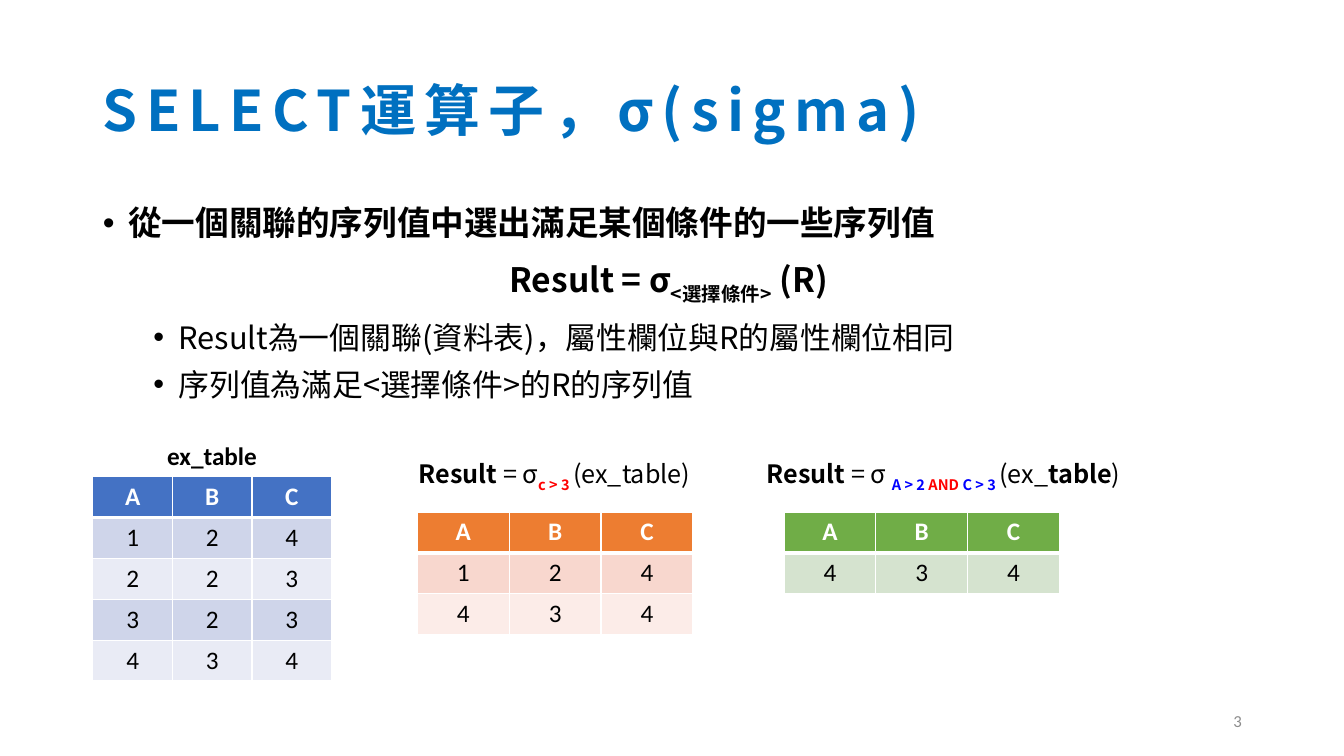
from lxml import etree
from pptx import Presentation
from pptx import util as u
from pptx.dml.color import RGBColor
from pptx.enum import text
from pptx.oxml.ns import qn

NOTO, CALIBRI = "Noto Sans CJK SC", "Calibri"
BLACK, WHITE, RED, BLUE = "000000", "FFFFFF", "FF0000", "0000FF"
LEFT, CENTER, RIGHT = text.PP_ALIGN.LEFT, text.PP_ALIGN.CENTER, text.PP_ALIGN.RIGHT
ROW_HEIGHT = 1.03
SUB = {"baseline": -25}


def color(value):
    return RGBColor.from_string(value)


def set_attributes(target, values):
    for name, value in values.items():
        setattr(target, name, value)


def place(shape, box):
    names = ("left", "top", "width", "height")
    set_attributes(shape, {name: u.Cm(length) for name, length in zip(names, box)})


def add_span(para, words, font=NOTO, size=18, ink=BLACK, bold=False, baseline=0, spacing=0):
    span = para.add_run()
    span.text = words
    set_attributes(span.font, {"name": font, "size": u.Pt(size), "bold": bold})
    span.font.color.rgb = color(ink)
    props = span.font._element
    for tag in ("a:ea", "a:cs"):
        etree.SubElement(props, qn(tag), typeface=font)
    if baseline:
        props.set("baseline", str(baseline * 1000))
    if spacing:
        props.set("spc", str(spacing * 100))


def set_bullet(para, margin=0, mark=None):
    """Give the paragraph a hanging bullet, or none when there is no mark."""
    props = para._p.get_or_add_pPr()
    props.set("marL", str(u.Cm(margin)))
    props.set("indent", str(u.Cm(-0.64 if mark else 0)))
    if mark:
        etree.SubElement(props, qn("a:buFont"), typeface="Arial")
        etree.SubElement(props, qn("a:buChar"), char=mark)
    else:
        etree.SubElement(props, qn("a:buNone"))


def add_textbox(page, box, spans, align=LEFT, wrap=True):
    shape = page.shapes.add_textbox(*(u.Cm(length) for length in box))
    set_attributes(shape.text_frame, {"word_wrap": wrap,
                                      "vertical_anchor": text.MSO_ANCHOR.MIDDLE})
    para = shape.text_frame.paragraphs[0]
    para.alignment = align
    for words, look in spans:
        add_span(para, words, **look)


def fill_title(page, box):
    title = page.shapes.title
    place(title, box)
    set_attributes(title.text_frame, {"vertical_anchor": text.MSO_ANCHOR.MIDDLE,
                                      "auto_size": text.MSO_AUTO_SIZE.NONE})
    para = title.text_frame.paragraphs[0]
    set_attributes(para, {"alignment": LEFT, "line_spacing": 0.9})
    add_span(para, "SELECT運算子，σ(sigma)", size=40, ink="0070C0", bold=True, spacing=6)


def fill_body(page, box):
    body = page.placeholders[1]
    place(body, box)
    frame = body.text_frame
    frame.auto_size = text.MSO_AUTO_SIZE.NONE
    head = {"size": 24, "bold": True}
    detail = {"size": 22}
    # level, bullet margin, bullet, alignment, line spacing, before, after, spans
    lines = [
        (0, 0.64, "•", LEFT, 0.9, 0, 0,
         [("從一個關聯的序列值中選出滿足某個條件的一些序列值", head)]),
        (0, 0, None, CENTER, 0.9, 12, 12,
         [("Result = σ", head), ("<選擇條件>", head | SUB), (" (R) ", head)]),
        (1, 1.91, "•", LEFT, 0.8, 6, 6,
         [("Result為一個關聯(資料表)，屬性欄位與R的屬性欄位相同", detail)]),
        (1, 1.91, "•", LEFT, 0.8, 6, 6,
         [("序列值為滿足<選擇條件>的R的序列值", detail)]),
    ]
    for index, (level, margin, mark, align, leading, before, after, spans) in enumerate(lines):
        para = frame.add_paragraph() if index else frame.paragraphs[0]
        set_bullet(para, margin, mark)
        set_attributes(para, {"level": level, "alignment": align, "line_spacing": leading,
                              "space_before": u.Pt(before), "space_after": u.Pt(after)})
        for words, look in spans:
            add_span(para, words, **look)


def set_borders(cell, widths):
    props = cell._tc.get_or_add_tcPr()
    for side, width in widths.items():
        line = etree.SubElement(props, qn(f"a:ln{side}"), w=str(u.Pt(width)))
        fill = etree.SubElement(line, qn("a:solidFill"))
        etree.SubElement(fill, qn("a:srgbClr"), val=WHITE)


def add_relation(page, box, rows, fills):
    """Draw a relation under its A, B, C header; fills are header, odd, even."""
    left, top, width = box
    grid = ["ABC", *rows]
    table = page.shapes.add_table(len(grid), 3, u.Cm(left), u.Cm(top), u.Cm(width),
                                  u.Cm(ROW_HEIGHT * len(grid))).table
    table.horz_banding = False
    for r, values in enumerate(grid):
        header = r == 0
        fill = fills[0] if header else fills[2 - r % 2]
        widths = {"L": 1, "R": 1, "T": 3 if r == 1 else 1, "B": 3 if header else 1}
        for c, value in enumerate(values):
            cell = table.cell(r, c)
            set_borders(cell, widths)
            cell.fill.solid()
            cell.fill.fore_color.rgb = color(fill)
            para = cell.text_frame.paragraphs[0]
            para.alignment = CENTER
            add_span(para, value, CALIBRI, ink=WHITE if header else BLACK, bold=header)


def add_examples(page, box):
    """The source relation and the results of two selections on it."""
    left, top = box
    bold = {"bold": True}
    red, blue = ({"ink": ink} | bold | SUB for ink in (RED, BLUE))

    # Source relation
    add_textbox(page, (left + 1.52, top, 2.97, 1.02),
                [("ex_table", {"font": CALIBRI} | bold)], CENTER)
    add_relation(page, (left, top + 1.04, 6.02), ["124", "223", "323", "434"],
                 ("4472C4", "CFD5EA", "E9EBF5"))

    # Selection results: label offset and width, table offset, formula, rows, fills
    results = [
        (7.97, 7.57, 8.18,
         [("Result", bold), (" = σ", {}), ("c > 3 ", red), ("(ex_table)", {})],
         ["124", "434"], ("ED7D31", "F8D7CE", "FCECE8")),
        (16.74, 10.16, 17.42,
         [("Result", bold), (" = σ ", {}), ("A > 2 ", blue), ("AND ", red),
          ("C > 3 ", blue), ("(ex_", {}), ("table", bold), (")", {})],
         ["434"], ("70AD47", "D5E3CF", "D5E3CF")),
    ]
    for label_x, label_width, table_x, formula, rows, fills in results:
        add_textbox(page, (left + label_x, top + 0.51, label_width, 1.02), formula, wrap=False)
        add_relation(page, (left + table_x, top + 1.93, 6.94), rows, fills)


def main():
    deck = Presentation()
    set_attributes(deck, {"slide_width": u.Cm(33.87), "slide_height": u.Cm(19.05)})
    page = deck.slides.add_slide(deck.slide_layouts[1])
    fill_title(page, (2.34, 1.02, 29.21, 3.68))
    fill_body(page, (2.34, 5.08, 29.21, 12.09))
    add_examples(page, (2.34, 10.97))
    # Page number
    add_textbox(page, (23.93, 17.65, 7.62, 1.02),
                [("3", {"font": CALIBRI, "size": 12, "ink": "8C8C8C"})], RIGHT)
    deck.save("out.pptx")


if __name__ == "__main__":
    main()
